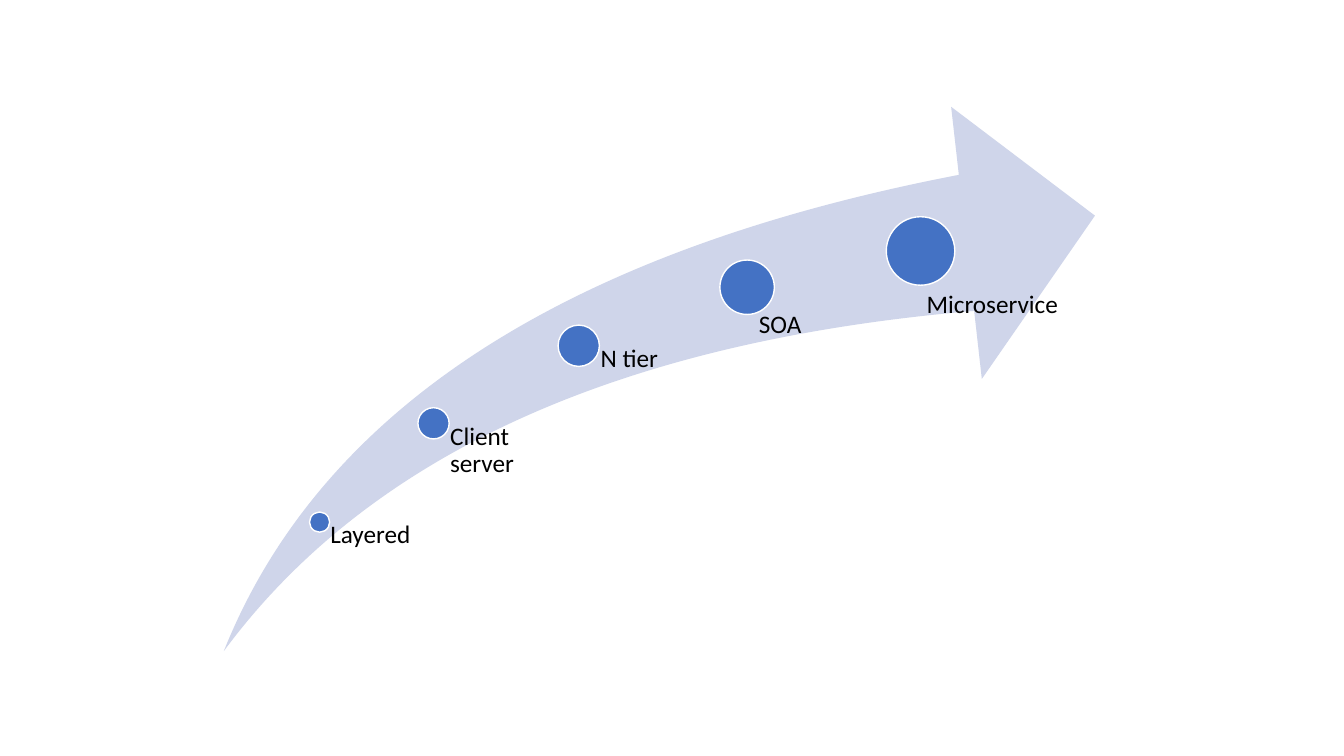
from pptx import Presentation
from pptx.dml.color import RGBColor
from pptx.enum.shapes import MSO_SHAPE
from pptx.enum.text import MSO_ANCHOR, PP_ALIGN
from pptx.util import Inches, Pt

ARROW_BOX = (2.22, 1.06, 8.64, 5.4)
INSET_RATIO = 0.53

# name, dot (center x, center y, diameter), label (left, top, width, height)
STAGES = [
    ("Layered", (3.17, 5.18, 0.2), (3.17, 5.18, 1.13, 1.29)),
    ("Client server", (4.3, 4.2, 0.31), (4.3, 4.2, 1.42, 2.26)),
    ("N tier", (5.74, 3.43, 0.41), (5.74, 3.43, 1.67, 3.03)),
    ("SOA", (7.41, 2.85, 0.54), (7.24, 3.09, 1.73, 3.62)),
    ("Microservice", (9.13, 2.49, 0.68), (8.83, 2.89, 1.73, 3.83)),
]


def color(hex_code):
    return RGBColor.from_string(hex_code)


def add_figure(shapes, preset, box, fill, outline=None):
    figure = shapes.add_shape(preset, *map(Inches, box))
    figure.shadow.inherit = False
    figure.fill.solid()
    figure.fill.fore_color.rgb = color(fill)
    if outline:
        figure.line.color.rgb = color(outline)
        figure.line.width = Pt(1)
    else:
        figure.line.fill.background()
    return figure


def add_label(shapes, text, box, inset=0, size=18, font="Calibri", ink="000000"):
    frame = shapes.add_textbox(*map(Inches, box)).text_frame
    frame.word_wrap = True
    frame.vertical_anchor = MSO_ANCHOR.TOP
    frame.margin_left = Inches(inset)
    frame.margin_top = frame.margin_right = frame.margin_bottom = 0
    paragraph = frame.paragraphs[0]
    paragraph.alignment = PP_ALIGN.LEFT
    paragraph.line_spacing = 0.9
    run = paragraph.add_run()
    run.text = text
    run.font.size = Pt(size)
    run.font.name = font
    run.font.color.rgb = color(ink)


def main():
    deck = Presentation()
    deck.slide_width = Inches(13.33)
    deck.slide_height = Inches(7.5)
    slide = deck.slides.add_slide(deck.slide_layouts[6])
    diagram = slide.shapes.add_group_shape().shapes

    arrow = add_figure(diagram, MSO_SHAPE.SWOOSH_ARROW, ARROW_BOX, "CFD5EA")
    arrow.adjustments[0] = 0.25
    arrow.adjustments[1] = 0.25

    for name, (center_x, center_y, diameter), label_box in STAGES:
        radius = diameter / 2
        dot_box = (center_x - radius, center_y - radius, diameter, diameter)
        add_figure(diagram, MSO_SHAPE.OVAL, dot_box, "4472C4", outline="FFFFFF")
        add_label(diagram, name, label_box, inset=diameter * INSET_RATIO)

    deck.save("out.pptx")


if __name__ == "__main__":
    main()
